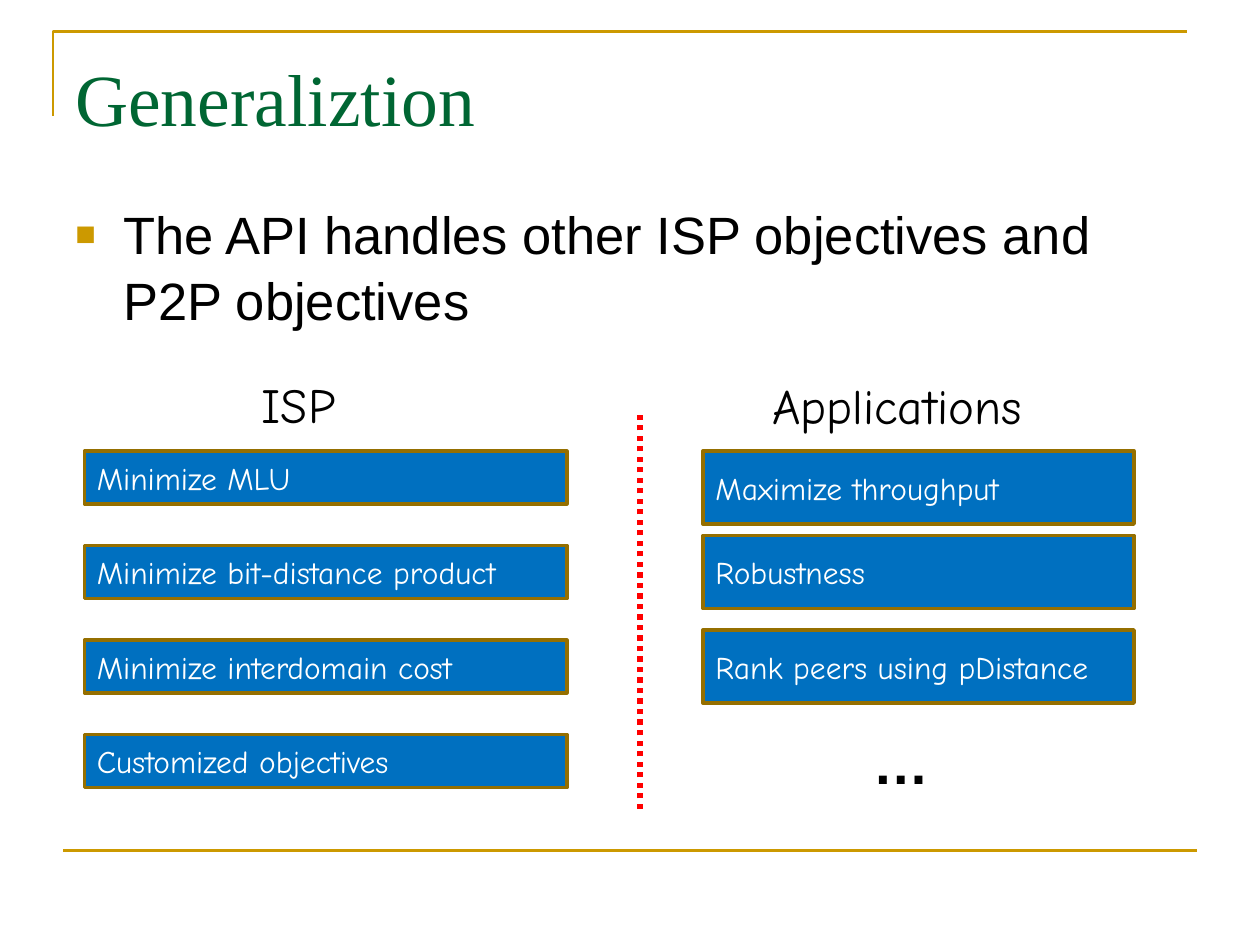
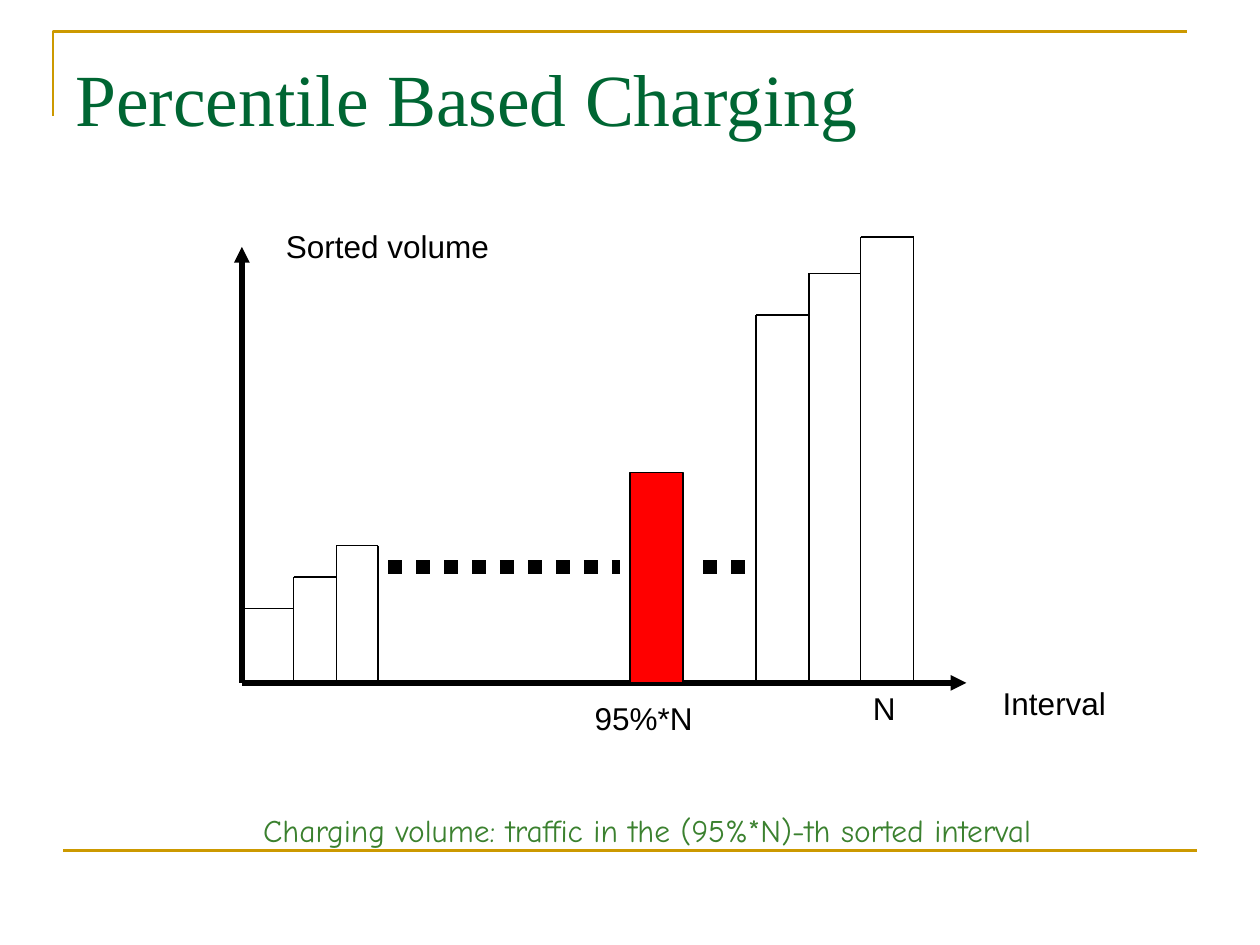
from dataclasses import dataclass

from lxml.etree import SubElement
from pptx import Presentation
from pptx.dml.color import RGBColor
from pptx.enum.dml import MSO_LINE
from pptx.enum.shapes import MSO_CONNECTOR, MSO_SHAPE
from pptx.enum.text import MSO_ANCHOR, PP_ALIGN
from pptx.oxml.ns import qn
from pptx.util import Inches, Pt


@dataclass(frozen=True)
class Theme:
    gold: str = "CC9900"
    green: str = "006633"
    note_green: str = "3B812F"
    blue: str = "0070C0"
    box_edge: str = "956F00"
    red: str = "FF0000"
    black: str = "000000"
    white: str = "FFFFFF"
    serif: str = "Times New Roman"
    sans: str = "Arial"
    hand: str = "Comic Neue"
    title_size: int = 42
    body_size: int = 30
    heading_size: int = 28
    ellipsis_size: int = 32
    label_size: int = 18


THEME = Theme()


def set_line(line, color, width, dash=None):
    line.color.rgb = RGBColor.from_string(color)
    line.width = Pt(width)
    if dash:
        line.dash_style = dash


def write_text(shape, text, size, font, color=THEME.black, bold=False, wrap=True,
               anchor=MSO_ANCHOR.TOP):
    frame = shape.text_frame
    frame.word_wrap = wrap
    frame.vertical_anchor = anchor
    paragraph = frame.paragraphs[0]
    paragraph.text = text
    paragraph.alignment = PP_ALIGN.LEFT
    for run in paragraph.runs:
        run.font.color.rgb = RGBColor.from_string(color)
        for name, value in {"size": Pt(size), "name": font, "bold": bold}.items():
            setattr(run.font, name, value)
    return paragraph


def add_text(slide, box, text, size, font, **formats):
    shape = slide.shapes.add_textbox(*map(Inches, box))
    return write_text(shape, text, size, font, **formats)


def add_line(slide, start, end, color=THEME.black, width=0.75, dash=None, arrow=False):
    connector = slide.shapes.add_connector(
        MSO_CONNECTOR.STRAIGHT, *map(Inches, (*start, *end)))
    set_line(connector.line, color, width, dash)
    properties = connector._element.spPr
    if arrow:
        SubElement(properties.find(qn("a:ln")), qn("a:tailEnd"), type="triangle")
    SubElement(properties, qn("a:effectLst"))


def add_rectangle(slide, box, fill, edge, width):
    shape = slide.shapes.add_shape(MSO_SHAPE.RECTANGLE, *map(Inches, box))
    shape.shadow.inherit = False
    shape.fill.solid()
    shape.fill.fore_color.rgb = RGBColor.from_string(fill)
    set_line(shape.line, edge, width)
    return shape


def add_titled_slide(presentation, title):
    """Blank slide with the gold corner, footer rule and title."""
    slide = presentation.slides.add_slide(presentation.slide_layouts[6])
    builder = slide.shapes.build_freeform(Inches(0.42), Inches(0.92))
    builder.add_line_segments(
        [(Inches(0.42), Inches(0.25)), (Inches(9.42), Inches(0.25))], close=False)
    corner = builder.convert_to_shape()
    corner.shadow.inherit = False
    corner.fill.background()
    set_line(corner.line, THEME.gold, 1.5)
    add_line(slide, (0.5, 6.75), (9.5, 6.75), THEME.gold, 1.5)
    add_text(slide, (0.5, 0.37, 9, 1.18), title, THEME.title_size, THEME.serif,
             color=THEME.green)
    return slide


def add_bullet(slide, box, text):
    paragraph = add_text(slide, box, text, THEME.body_size, THEME.sans)
    properties = paragraph._p.get_or_add_pPr()
    properties.set("marL", str(Inches(0.38)))
    properties.set("indent", str(-Inches(0.38)))
    bullet_color = SubElement(properties, qn("a:buClr"))
    SubElement(bullet_color, qn("a:srgbClr"), val=THEME.gold)
    SubElement(properties, qn("a:buSzPct"), val="65000")
    SubElement(properties, qn("a:buFont"), typeface=THEME.sans)
    SubElement(properties, qn("a:buChar"), char="■")
    paragraph.line_spacing = 1.05


def add_objective_column(slide, left, width, height, offsets, objectives):
    """Stack of objective boxes below the shared column top."""
    column_top = 3.58
    for offset, objective in zip(offsets, objectives):
        shape = add_rectangle(slide, (left, column_top + offset, width, height),
                              THEME.blue, THEME.box_edge, 2)
        write_text(shape, objective, THEME.label_size, THEME.hand,
                   color=THEME.white, anchor=MSO_ANCHOR.MIDDLE)


def build_generalization(presentation):
    slide = add_titled_slide(presentation, "Generaliztion")
    add_bullet(slide, (0.5, 1.53, 9.5, 1.2),
               "The API handles other ISP objectives and \vP2P objectives")
    add_line(slide, (5.08, 6.42), (5.08, 3.25), THEME.red, 3, MSO_LINE.ROUND_DOT)

    # Column headings
    for box, heading in (((1.98, 2.92, 0.94, 0.57), "ISPs"),
                         ((6.03, 2.93, 2.18, 0.57), "Applications")):
        add_text(slide, box, heading, THEME.heading_size, THEME.hand, wrap=False)

    # Objectives of each side
    add_objective_column(
        slide, 0.67, 3.83, 0.42, [0.75 * row for row in range(4)],
        ("Minimize MLU", "Minimize bit-distance product",
         "Minimize interdomain cost", "Customized objectives"))
    add_objective_column(
        slide, 5.58, 3.42, 0.58, (0, 0.67, 1.42),
        ("Maximize throughput", "Robustness", "Rank peers using pDistance"))
    add_text(slide, (6.83, 5.73, 0.58, 0.61), "…", THEME.ellipsis_size, THEME.sans,
             bold=True)


def add_staircase(slide, edges, tops, baseline, first_side=0):
    """Adjoining open bars: one top per bar, one side per edge."""
    for left, right, top in zip(edges, edges[1:], tops):
        add_line(slide, (left, top), (right, top))
    side_tops = (*tops, tops[-1])
    for edge, top in list(zip(edges, side_tops))[first_side:]:
        add_line(slide, (edge, top), (edge, baseline))


def add_volume_diagram(slide, left, top, width, height):
    baseline = top + height

    # Axes
    for end in ((left + width, baseline), (left, top)):
        add_line(slide, (left, baseline), end, width=3, arrow=True)

    # Lowest and highest intervals; the vertical axis is the first side
    add_staircase(slide, [left + x for x in (0, 0.41, 0.75, 1.08)],
                  [baseline - h for h in (0.59, 0.84, 1.09)], baseline, first_side=1)
    add_staircase(slide, [left + x for x in (4.08, 4.5, 4.91, 5.33)],
                  [baseline - h for h in (2.92, 3.25, 3.54)], baseline)

    # Omitted intervals on both sides of the charged one
    for start, end in ((1.16, 3), (3.66, 4)):
        add_line(slide, (left + start, baseline - 0.92), (left + end, baseline - 0.92),
                 width=8, dash=MSO_LINE.ROUND_DOT)
    add_rectangle(slide, (left + 3.08, baseline - 1.67, 0.42, 1.67),
                  THEME.red, THEME.black, 0.75)

    # Labels, placed from the origin of the axes
    for x, y, label_width, label in ((0.25, -3.67, 1.81, "Sorted volume"),
                                     (5.94, -0.04, 1.02, "Interval"),
                                     (4.91, 0, 0.7, "N"),
                                     (2.7, 0.08, 0.98, "95%*N")):
        add_text(slide, (left + x, baseline + y, label_width, 0.4), label,
                 THEME.label_size, THEME.sans, wrap=label == "N")


def build_percentile_charging(presentation):
    slide = add_titled_slide(presentation, "Percentile Based Charging")
    add_volume_diagram(slide, 1.92, 1.96, 5.75, 3.46)
    add_text(slide, (1.99, 6.39, 6.33, 0.4),
             "Charging volume: traffic in the (95%*N)-th sorted interval",
             THEME.label_size, THEME.hand, color=THEME.note_green, wrap=False)


def main():
    presentation = Presentation()
    presentation.slide_width = Inches(10)
    presentation.slide_height = Inches(7.5)
    build_generalization(presentation)
    build_percentile_charging(presentation)
    presentation.save("out.pptx")


if __name__ == "__main__":
    main()
